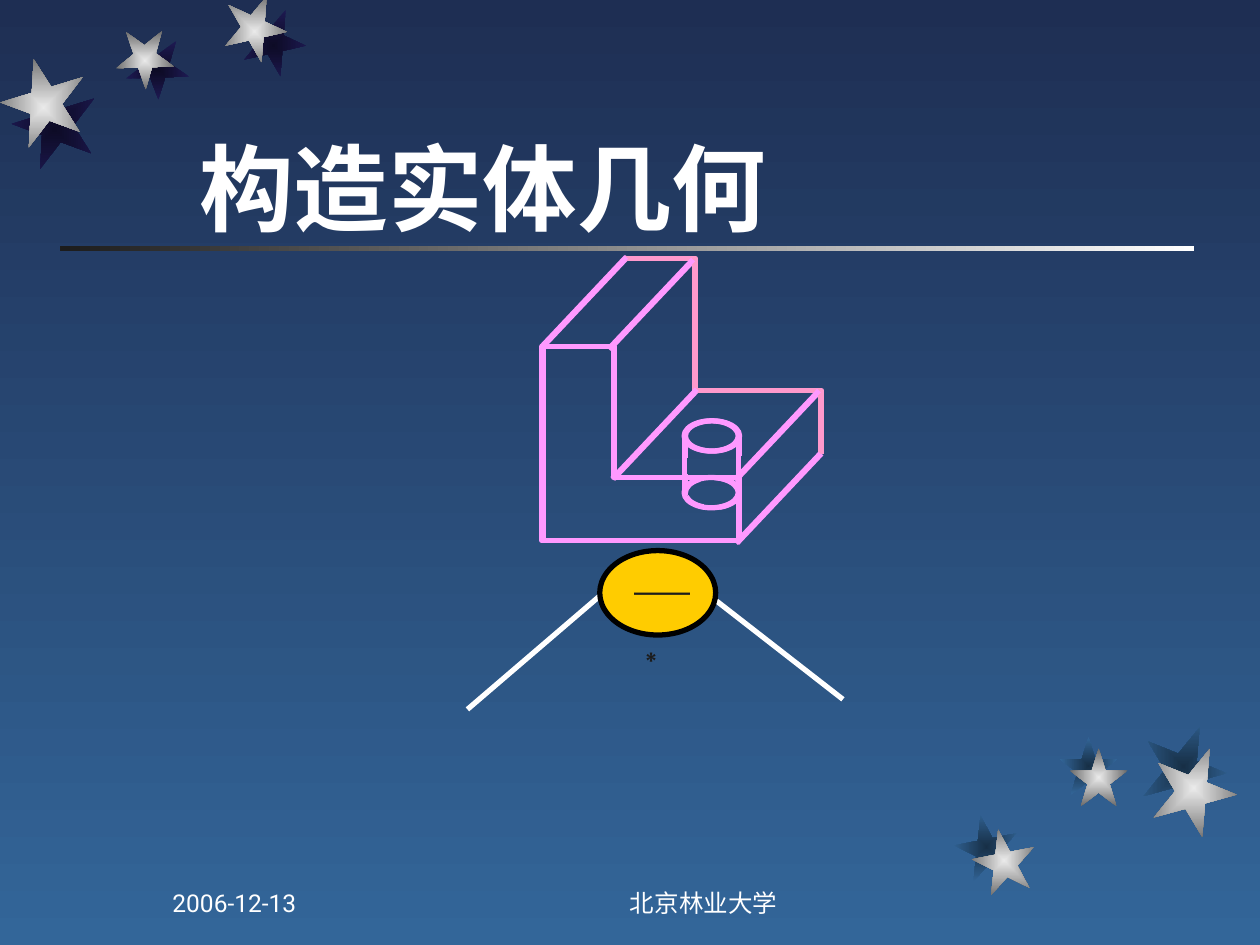
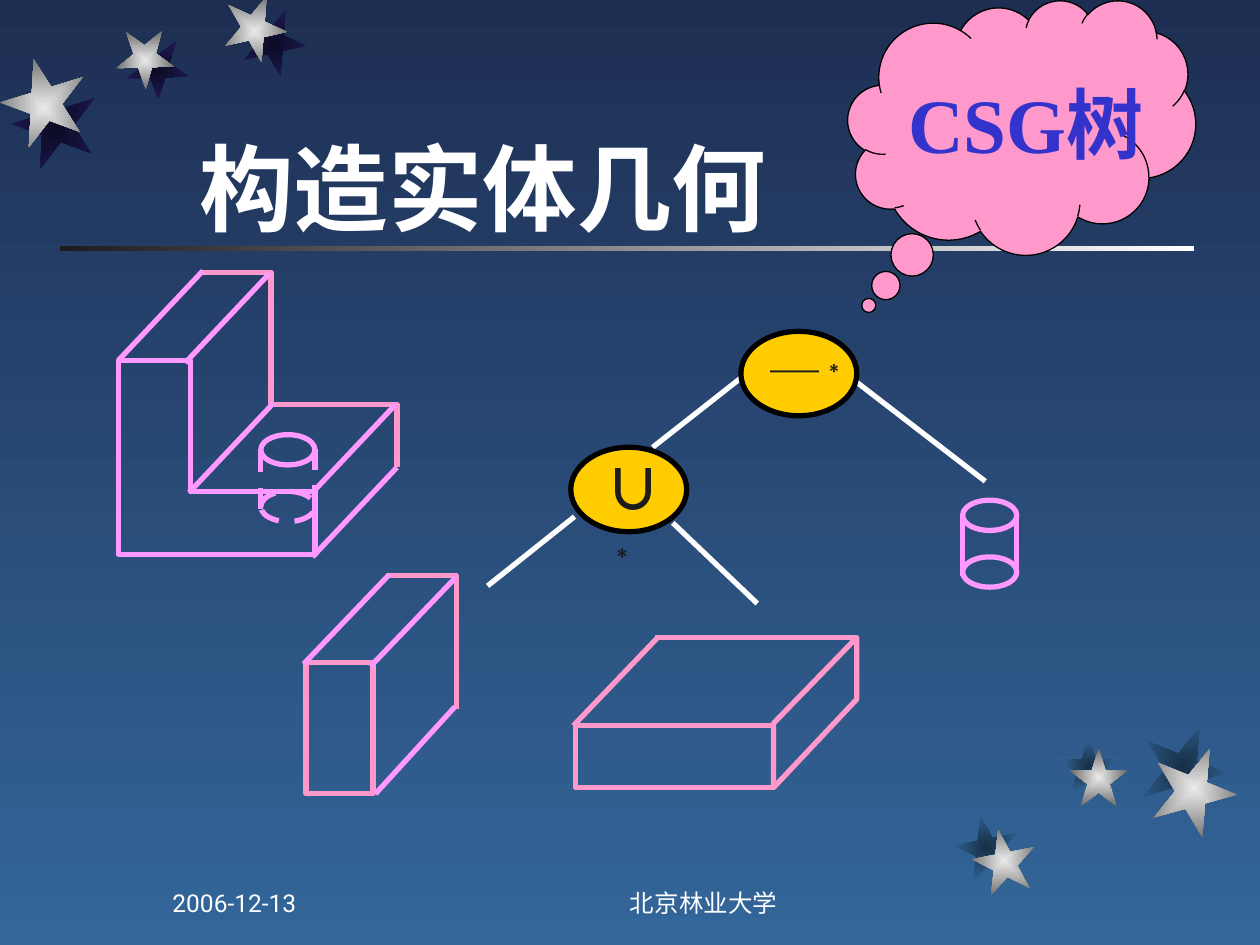
from typing import NamedTuple

from lxml.etree import SubElement
from pptx import Presentation
from pptx.dml.color import RGBColor
from pptx.dml.fill import FillFormat
from pptx.enum.dml import MSO_LINE
from pptx.enum.shapes import MSO_CONNECTOR, MSO_SHAPE
from pptx.enum.text import MSO_ANCHOR, MSO_AUTO_SIZE, PP_ALIGN
from pptx.oxml.ns import qn
from pptx.shapes.autoshape import Shape
from pptx.shapes.shapetree import GroupShapes, SlideShapes
from pptx.slide import Slide, SlideLayout
from pptx.text.text import TextFrame, _Run
from pptx.util import Pt

PX = 9144  # 100 px to the inch
BODY, CJK, SERIF = "Roboto", "Noto Sans CJK SC", "Times New Roman"
COLORS = {
    "sky_top": "1E2E53", "sky_bottom": "336699", "white": "FFFFFF", "ink": "1C1C1C",
    "star_light": "EAEAEA", "star_dark": "6B6B6B", "night": "0D0B26", "night_edge": "1E1A53",
    "dusk": "172F46", "violet": "FF99FF", "pink": "FF99CC", "gold": "FFCC00",
    "black": "000000", "blue": "3333CC",
}
Shapes = SlideShapes | GroupShapes
Point = tuple[int, int]


class Box(NamedTuple):
    x: int
    y: int
    w: int
    h: int


class Star(NamedTuple):
    box: Box
    angle: float
    inner: str
    outer: str


class Stroke(NamedTuple):
    points: list[Point]
    color: str = "violet"
    closed: bool = False


class Operator(NamedTuple):
    x: int
    y: int
    symbol: str
    label: Box
    size: int


TOP_LEFT_STARS = [
    (Box(192, 11, 50, 50), Box(177, 0, 50, 50), 167.3),
    (Box(100, 33, 50, 46), Box(92, 25, 46, 46), 178.3),
    (Box(10, 69, 67, 67), Box(1, 52, 67, 67), 200.3),
]
BOTTOM_RIGHT_STARS = [
    (Box(758, 647, 50, 50), Box(772, 658, 50, 50), 349),
    (Box(841, 585, 46, 46), Box(849, 594, 46, 46), 0),
    (Box(906, 575, 67, 67), Box(914, 592, 67, 67), 22),
]

# Outlines of the solids; the bracket is relative to its front top-left corner
DEPTH = (67, -71)
BRACKET = [
    Stroke([(0, 154), (156, 154), (156, 104), (57, 104), (57, 0), (0, 0)], closed=True),
    Stroke([(66, -70), (121, -70), (121, 35), (221, 35), (221, 85)], "pink"),
] + [
    Stroke([(x + DEPTH[0], y + DEPTH[1]), (x, y)])
    for x, y in [(0, 0), (53, 2), (56, 105), (153, 106), (154, 156)]
]
FLAT_BLOCK = [
    Stroke([(457, 576), (614, 576), (614, 625), (457, 625)], "pink", True),
    Stroke([(614, 625), (680, 555), (680, 506), (614, 574)], "pink", True),
    Stroke([(520, 506), (679, 506)], "pink"),
    Stroke([(522, 506), (455, 576)], "pink"),
]
TALL_BLOCK = [
    Stroke([(243, 526), (296, 526), (296, 630), (243, 630)], "pink", True),
    Stroke([(307, 457), (362, 457), (362, 563)], "pink"),
    Stroke([(309, 456), (241, 527)]),
    Stroke([(362, 458), (294, 529)]),
    Stroke([(361, 561), (298, 630)]),
]
PIN_OFFSET = (113, 59)


def rgb(name: str) -> RGBColor:
    return RGBColor.from_string(COLORS[name])


def emu(box: Box) -> list[int]:
    return [v * PX for v in box]


def add_preset(shapes: Shapes, kind: MSO_SHAPE, box: Box, fill: str | None = None,
               line: str | None = None, width: float = 3) -> Shape:
    shape = shapes.add_shape(kind, *emu(box))
    shape.shadow.inherit = False
    if fill:
        shape.fill.solid()
        shape.fill.fore_color.rgb = rgb(fill)
    else:
        shape.fill.background()
    if line:
        shape.line.color.rgb = rgb(line)
        shape.line.width = Pt(width)
    else:
        shape.line.fill.background()
    return shape


def set_gradient(fill: FillFormat, first: str, last: str, angle: int = 0) -> None:
    fill.gradient()
    fill.gradient_angle = angle
    for stop, color in zip(fill.gradient_stops, (first, last)):
        stop.color.rgb = rgb(color)


def add_star(shapes: Shapes, star: Star) -> Shape:
    shape = add_preset(shapes, MSO_SHAPE.STAR_5_POINT, star.box)
    shape.rotation = star.angle
    set_gradient(shape.fill, star.inner, star.outer)
    # Gradient spreading from the centre
    grad = shape.element.spPr.find(qn("a:gradFill"))
    grad.remove(grad.find(qn("a:lin")))
    center = SubElement(grad, qn("a:path"), {"path": "rect"})
    SubElement(center, qn("a:fillToRect"), dict.fromkeys("ltrb", "50000"))
    return shape


def decorate_layout(layout: SlideLayout, s: Slide) -> None:
    """Draw the rule and the stars, then hand them to the layout."""
    set_gradient(layout.background.fill, "sky_top", "sky_bottom", 270)
    rule = add_preset(s.shapes, MSO_SHAPE.RECTANGLE, Box(48, 195, 900, 4))
    set_gradient(rule.fill, "white", "ink", 180)
    decorations = [rule]
    for stars, inner, outer in [(TOP_LEFT_STARS, "night", "night_edge"),
                                (BOTTOM_RIGHT_STARS, "dusk", "sky_bottom")]:
        shades = [Star(shade, angle, inner, outer) for shade, _, angle in stars]
        lights = [Star(light, angle, "star_light", "star_dark") for _, light, angle in stars]
        decorations += [add_star(s.shapes, star) for star in shades + lights]
    for number, shape in enumerate(decorations, 100):
        shape.element.nvSpPr.cNvPr.set("id", str(number))
        layout.shapes.element.append(shape.element)


def style_run(r: _Run, font: str, size: int, color: str, bold: bool = False) -> None:
    r.font.name, r.font.size, r.font.bold = font, Pt(size), bold
    r.font.color.rgb = rgb(color)
    SubElement(r.font._element, qn("a:ea"), {"typeface": CJK})


def add_text(s: Slide, box: Box, text: str, font: str, size: int, color: str,
             bold: bool = False) -> TextFrame:
    tf = s.shapes.add_textbox(*emu(box)).text_frame
    tf.word_wrap = True
    tf.text = text
    style_run(tf.paragraphs[0].runs[0], font, size, color, bold)
    return tf


def add_line(shapes: Shapes, start: Point, end: Point, color: str, dashed: bool = False) -> None:
    line = shapes.add_connector(MSO_CONNECTOR.STRAIGHT, *(v * PX for v in start + end))
    line.line.color.rgb = rgb(color)
    line.line.width = Pt(3)
    if dashed:
        line.line.dash_style = MSO_LINE.DASH
    SubElement(line.element.spPr, qn("a:effectLst"))


def add_strokes(shapes: Shapes, strokes: list[Stroke], x: int = 0, y: int = 0) -> None:
    for stroke in strokes:
        points = [(x + px, y + py) for px, py in stroke.points]
        if len(points) == 2:
            add_line(shapes, *points, stroke.color)
            continue
        builder = shapes.build_freeform(*points[0], scale=PX)
        builder.add_line_segments(points[1:], close=stroke.closed)
        shape = builder.convert_to_shape()
        shape.shadow.inherit = False
        shape.fill.background()
        shape.line.color.rgb = rgb(stroke.color)
        shape.line.width = Pt(3)


def add_pin(shapes: Shapes, x: int, y: int, hidden: bool = False) -> None:
    """A cylinder; when hidden, all but its top is dashed."""
    add_preset(shapes, MSO_SHAPE.OVAL, Box(x, y, 43, 24), line="violet")
    base = add_preset(shapes, MSO_SHAPE.OVAL, Box(x, y + 45, 43, 24), line="violet")
    if hidden:
        base.line.dash_style = MSO_LINE.DASH
    for dx, dy in [(0, 13), (43, 11)]:
        add_line(shapes, (x + dx, y + dy), (x + dx, y + dy + 47), "violet", hidden)


def add_bracket(s: Slide, x: int, y: int) -> None:
    group = s.shapes.add_group_shape().shapes
    add_strokes(group, BRACKET, x, y)
    add_pin(group, x + PIN_OFFSET[0], y + PIN_OFFSET[1], hidden=True)


def add_operator(s: Slide, op: Operator) -> None:
    add_preset(s.shapes, MSO_SHAPE.OVAL, Box(op.x, op.y, 92, 67), "gold", "black")
    tf = add_text(s, op.label, op.symbol, CJK, op.size, "ink", bold=True)
    r = tf.paragraphs[0].add_run()
    r.text = "∗"
    style_run(r, "Arial", op.size, "ink", bold=True)
    r.font._element.set("baseline", "30000")


def add_title_and_footer(s: Slide) -> None:
    title = s.shapes.title
    title.left, title.top, title.width, title.height = emu(Box(148, 38, 750, 160))
    tf = title.text_frame
    tf.text = "构造实体几何"
    tf.auto_size = MSO_AUTO_SIZE.NONE
    tf.vertical_anchor = MSO_ANCHOR.BOTTOM
    p = tf.paragraphs[0]
    p.alignment = PP_ALIGN.LEFT
    style_run(p.runs[0], BODY, 54, "white", bold=True)
    for box, text, align in [(Box(400, 683, 317, 50), "北京林业大学", PP_ALIGN.CENTER),
                             (Box(127, 683, 208, 50), "2006-12-13", PP_ALIGN.LEFT)]:
        tf = add_text(s, box, text, BODY, 14, "white")
        tf.vertical_anchor = MSO_ANCHOR.BOTTOM
        tf.paragraphs[0].alignment = align


def build_difference(s: Slide) -> None:
    add_bracket(s, 431, 275)
    add_strokes(s.shapes.add_group_shape().shapes, BRACKET, 430, 275)
    add_pin(s.shapes.add_group_shape().shapes, 543, 334)
    add_line(s.shapes, (476, 473), (371, 563), "white")
    add_line(s.shapes, (561, 471), (669, 555), "white")
    add_operator(s, Operator(476, 437, "─", Box(494, 439, 60, 64), 32))


def build_tree(s: Slide) -> None:
    add_bracket(s, 94, 286)
    add_pin(s.shapes.add_group_shape().shapes, 764, 397)
    # Branches and operators of the tree
    for start, end in [((588, 300), (518, 355)), ((673, 298), (782, 382)),
                       ((456, 410), (387, 465)), ((534, 415), (601, 479))]:
        add_line(s.shapes, start, end, "white")
    add_operator(s, Operator(588, 263, "─", Box(602, 266, 81, 57), 28))
    add_operator(s, Operator(453, 355, "∪", Box(471, 356, 69, 64), 32))
    for block in (FLAT_BLOCK, TALL_BLOCK):
        add_strokes(s.shapes.add_group_shape().shapes, block)
    # Thought cloud, with a label wide enough for one line
    cloud = add_preset(s.shapes, MSO_SHAPE.CLOUD_CALLOUT, Box(673, 0, 276, 202),
                       "pink", "black", 0.75)
    cloud.adjustments[0], cloud.adjustments[1] = -0.44, 0.7
    add_text(s, Box(711, 56, 235, 84), "CSG树", SERIF, 44, "blue", bold=True)


def main() -> None:
    prs = Presentation()
    prs.slide_width, prs.slide_height = 1000 * PX, 750 * PX
    layout = prs.slide_layouts[5]
    for number, build in enumerate((build_difference, build_tree)):
        s = prs.slides.add_slide(layout)
        if number == 0:
            decorate_layout(layout, s)
        add_title_and_footer(s)
        build(s)
    prs.save("out.pptx")


if __name__ == "__main__":
    main()
